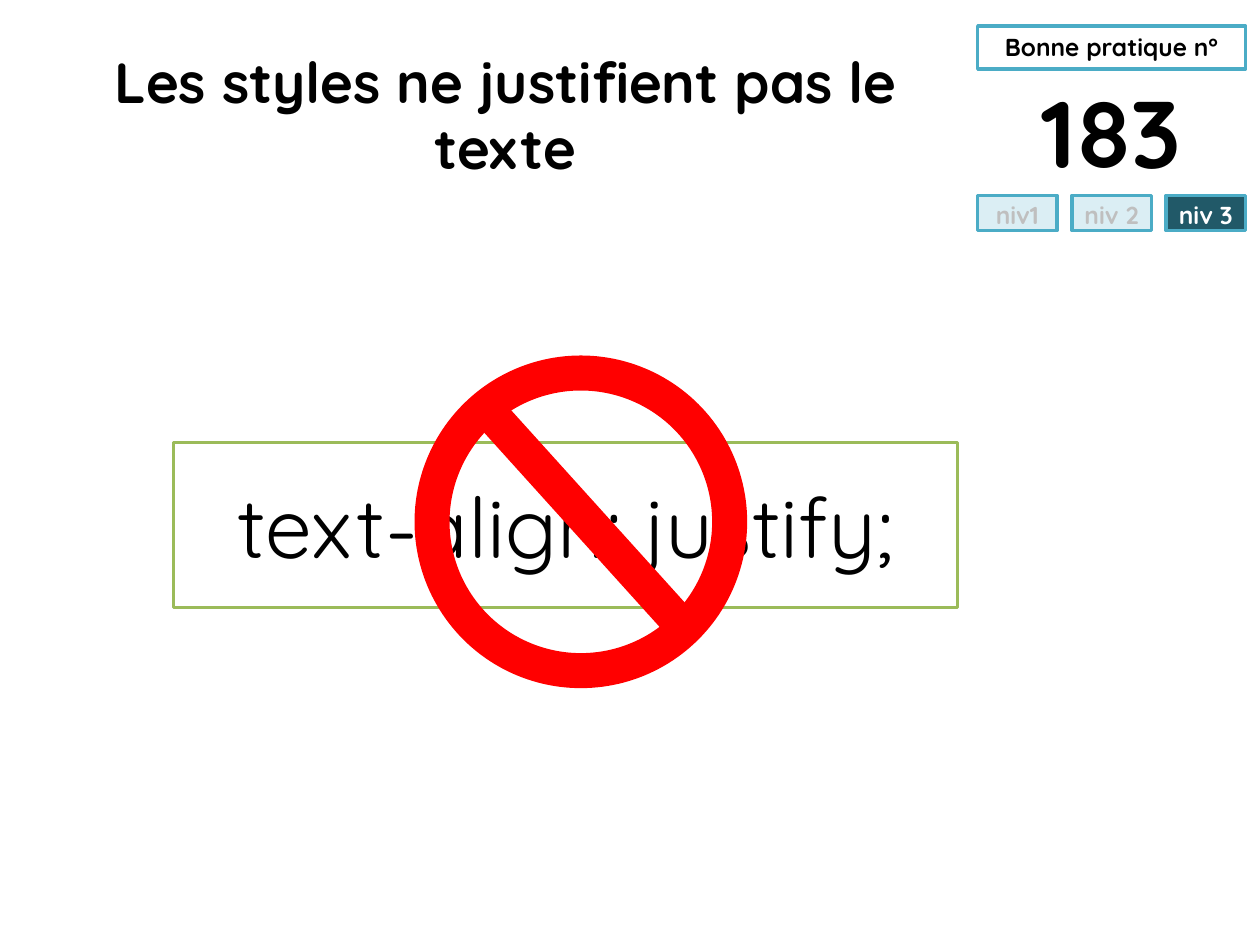
import pptx
import pptx.dml.color
import pptx.enum.shapes
import pptx.enum.text
import pptx.oxml
import pptx.util

Cm = pptx.util.Cm
Pt = pptx.util.Pt
SHAPES = pptx.enum.shapes.MSO_SHAPE
ANCHORS = pptx.enum.text.MSO_ANCHOR
BLUE, GREEN, RED = "4BACC6", "9BBB59", "FF0000"
EFFECTS = '<a:effectLst xmlns:a="http://schemas.openxmlformats.org/drawingml/2006/main"/>'


def colour(value):
    return pptx.dml.color.RGBColor.from_string(value)


def set_line(shape, value, width):
    shape.line.color.rgb = colour(value)
    shape.line.width = Pt(width)


def write_text(shape, text, size, text_colour="000000", bold=True,
               anchor=ANCHORS.TOP, inset=None, spacing=None):
    frame = shape.text_frame
    frame.word_wrap = True
    frame.vertical_anchor = anchor
    if inset is not None:
        for side in ("left", "top", "right", "bottom"):
            setattr(frame, f"margin_{side}", Cm(inset))
    paragraph = frame.paragraphs[0]
    paragraph.text = text
    paragraph.alignment = pptx.enum.text.PP_ALIGN.CENTER
    paragraph.line_spacing = spacing
    font = paragraph.runs[0].font
    for name, value in {"name": "Quicksand", "size": Pt(size), "bold": bold}.items():
        setattr(font, name, value)
    font.color.rgb = colour(text_colour)


def add_box(slide, box, fill, line, line_width=2, kind=SHAPES.RECTANGLE):
    shape = slide.shapes.add_shape(kind, *map(Cm, box))
    shape.shadow.inherit = False
    if fill:
        shape.fill.solid()
        shape.fill.fore_color.rgb = colour(fill)
    else:
        shape.fill.background()
    set_line(shape, line, line_width)
    return shape


def add_title(slide, box, text):
    title = slide.shapes.add_textbox(*map(Cm, box))
    write_text(title, text, 32.4, anchor=ANCHORS.MIDDLE, spacing=0.97)


def add_practice_panel(slide, box, number, active_level):
    left, top, width, height = box
    # Heading
    heading = add_box(slide, (left, top, width, 0.86), "FFFFFF", BLUE)
    write_text(heading, "Bonne pratique n°", 14)
    # Practice number
    number_box = slide.shapes.add_textbox(
        Cm(left), Cm(top + 0.84), Cm(width), Cm(2.54))
    write_text(number_box, number, 54)
    # Level badges, spread evenly over the width
    badge_width, badge_height = 1.6, 0.71
    labels = ("niv1", "niv 2", "niv 3")
    pitch = (width - badge_width) / (len(labels) - 1)
    for index, label in enumerate(labels):
        active = index + 1 == active_level
        badge = add_box(
            slide,
            (left + index * pitch, top + height - badge_height, badge_width, badge_height),
            "215968" if active else "DBEEF4", BLUE)
        write_text(badge, label, 14, "FFFFFF" if active else "BFBFBF", inset=0.1)


def add_code_box(slide, box, code):
    code_box = add_box(slide, box, "FFFFFF", GREEN)
    write_text(code_box, code, 48, bold=False, anchor=ANCHORS.MIDDLE)


def add_forbidden_sign(slide, box):
    left, top, width, height = box
    add_box(slide, box, None, RED, 20, SHAPES.OVAL)
    # Diagonal bar
    bar = slide.shapes.add_connector(
        pptx.enum.shapes.MSO_CONNECTOR.STRAIGHT,
        Cm(left + 0.2 * width), Cm(top + 0.14 * height),
        Cm(left + 0.85 * width), Cm(top + 0.86 * height))
    set_line(bar, RED, 20)
    bar._element.spPr.append(pptx.oxml.parse_xml(EFFECTS))


def main():
    presentation = pptx.Presentation()
    presentation.slide_width = Cm(25.4)
    presentation.slide_height = Cm(19.05)
    slide = presentation.slides.add_slide(presentation.slide_layouts[6])
    add_title(slide, (1.27, 0.76, 17.83, 3.18), "Les styles ne justifient pas le texte")
    add_practice_panel(slide, (19.71, 0.53, 5.4, 4.12), "183", 3)
    add_code_box(slide, (3.5, 8.92, 15.8, 3.33), "text-align: justify;")
    add_forbidden_sign(slide, (8.71, 7.52, 6, 6))
    presentation.save("out.pptx")


if __name__ == "__main__":
    main()
